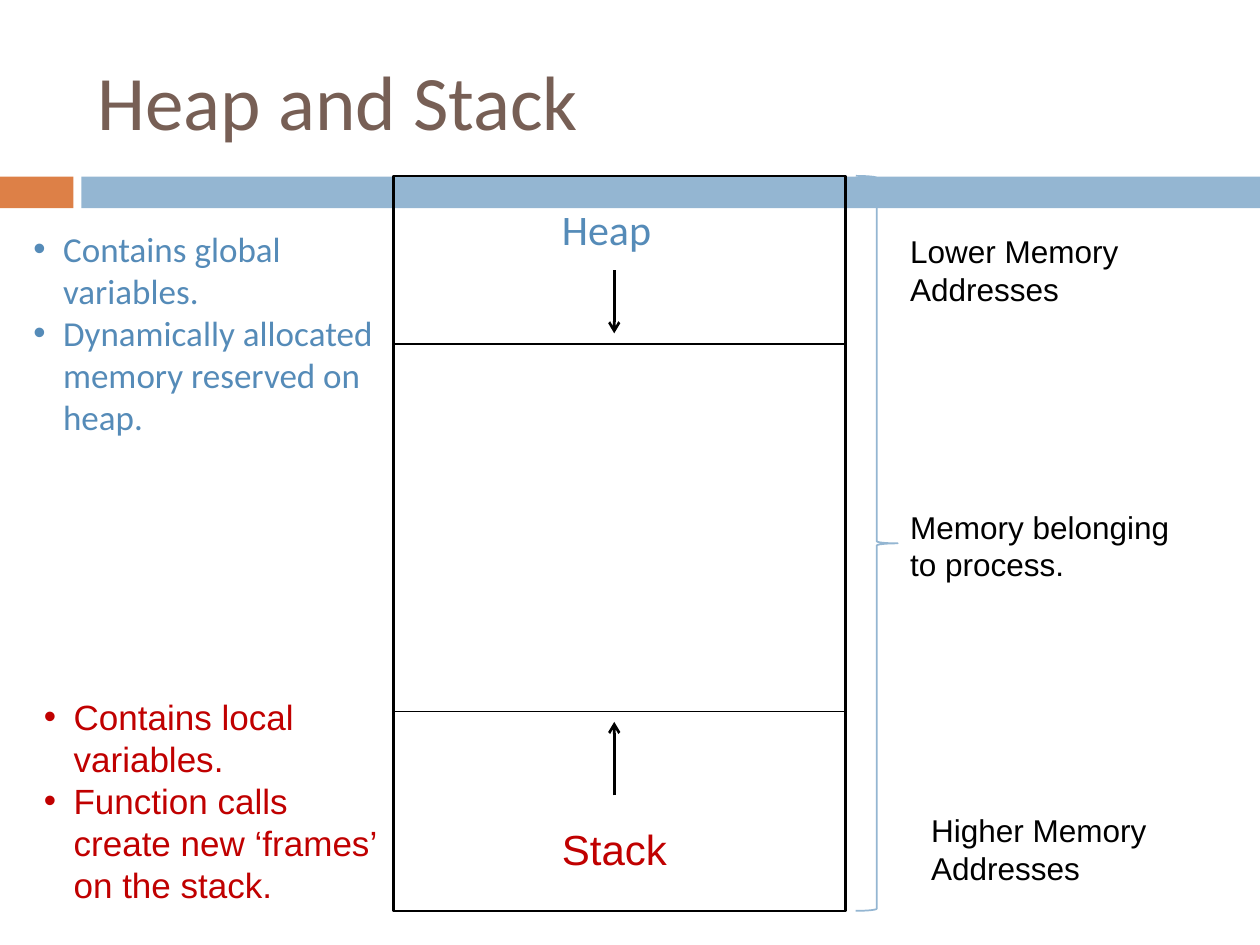
from lxml import etree
from pptx import Presentation
from pptx.dml.color import RGBColor
from pptx.enum.shapes import MSO_CONNECTOR, MSO_SHAPE
from pptx.enum.text import MSO_ANCHOR, MSO_AUTO_SIZE
from pptx.oxml.ns import qn
from pptx.util import Pt

RECT, BRACE = MSO_SHAPE.RECTANGLE, MSO_SHAPE.RIGHT_BRACE
STRAIGHT = MSO_CONNECTOR.STRAIGHT
MIDDLE = MSO_ANCHOR.MIDDLE
GROW, FIXED = MSO_AUTO_SIZE.SHAPE_TO_FIT_TEXT, MSO_AUTO_SIZE.NONE
COLORS = {"title": "775F55", "accent": "DD8047", "band": "94B6D2",
          "heap": "558BB8", "stack": "C00000", "ink": "000000"}


def rgb(name):
    """Return the named colour."""
    return RGBColor.from_string(COLORS[name])


def add_shape(s, kind, x, y, w, h, fill=None, line=None, weight=1):
    """Add a shape with an optional fill and outline."""
    sp = s.shapes.add_shape(kind, Pt(x), Pt(y), Pt(w), Pt(h))
    sp.shadow.inherit = False
    if fill:
        sp.fill.solid()
        sp.fill.fore_color.rgb = rgb(fill)
    else:
        sp.fill.background()
    if line:
        sp.line.color.rgb = rgb(line)
        sp.line.width = Pt(weight)
    else:
        sp.line.fill.background()
    return sp


def add_line(s, x1, y1, x2, y2, weight, arrow=False):
    """Add a straight line, with an arrowhead at its end if asked."""
    cx = s.shapes.add_connector(STRAIGHT, Pt(x1), Pt(y1), Pt(x2), Pt(y2))
    cx.line.color.rgb = rgb("ink")
    cx.line.width = Pt(weight)
    if arrow:
        ln = cx._element.spPr.find(qn("a:ln"))
        etree.SubElement(ln, qn("a:tailEnd"), type="arrow")
    etree.SubElement(cx._element.spPr, qn("a:effectLst"))


def add_text(s, x, y, w, h, lines, size, font, color, wrap=True, bullet=False):
    """Add a text box with one paragraph for each line."""
    tf = s.shapes.add_textbox(Pt(x), Pt(y), Pt(w), Pt(h)).text_frame
    tf.word_wrap = wrap
    tf.auto_size = GROW
    tf.text = "\n".join(lines)
    for p in tf.paragraphs:
        p.font.size = Pt(size)
        p.font.name = font
        p.font.color.rgb = rgb(color)
        if bullet:
            add_bullet(p)
    return tf


def add_bullet(p):
    """Give a paragraph a round bullet and a hanging indent."""
    pPr = p._p.get_or_add_pPr()
    pPr.set("marL", str(Pt(17)))
    pPr.set("indent", str(-Pt(17)))
    pPr.insert(0, etree.Element(qn("a:buFont"), typeface="Arial"))
    pPr.insert(1, etree.Element(qn("a:buChar"), char="•"))


def add_header(s, x, y, w):
    """Add the title and the two-part band below it."""
    add_shape(s, RECT, x, y + 101, 42, 18, "accent")
    add_shape(s, RECT, x + 46.5, y + 101, w - 46.5, 18, "band")
    tf = add_text(s, x + 48.5, y + 18, 642, 78, ["Heap and Stack"], 44, "Calibri", "title")
    tf.auto_size = FIXED
    tf.vertical_anchor = MIDDLE


def add_memory(s, x, y, w, h):
    """Add the memory block with its heap and stack areas."""
    add_shape(s, RECT, x, y, w, h, line="ink", weight=1.5)
    for dy in (96, 306):
        add_line(s, x, y + dy, x + w, y + dy, 0.79)
    mid = x + 126
    for start, end in ((54, 90), (354, 312)):
        add_line(s, mid, y + start, mid, y + end, 1.5, arrow=True)
    for name, font, color, dy in (("Heap", "Calibri", "heap", 12),
                                  ("Stack", "Arial", "stack", 366.5)):
        add_text(s, x + 89, y + dy, 84, 36, [name], 24, font, color, wrap=False)


def add_notes(s, x, y):
    """Add the bulleted notes on the heap and the stack."""
    add_text(s, x, y, 222, 127.5,
             ["Contains global variables.",
              "Dynamically allocated memory reserved on heap."],
             20, "Calibri", "heap", bullet=True)
    add_text(s, x + 6, y + 267.5, 210, 127.5,
             ["Contains local variables.",
              "Function calls create new ‘frames’ on the stack."],
             20, "Arial", "stack", bullet=True)


def add_addresses(s, x, y, h):
    """Add the brace and the address labels beside it."""
    sp = add_shape(s, BRACE, x, y, 24, h, line="band")
    sp.adjustments[0] = 0.05
    for text, dx, dy, w in (("Lower Memory Addresses", 24, 28.5, 156),
                            ("Memory belonging to process.", 24, 186, 180),
                            ("Higher Memory Addresses", 36, 359.5, 156)):
        add_text(s, x + dx, y + dy, w, 50.5, [text], 18, "Arial", "ink")


def main():
    """Build the slide and save it."""
    prs = Presentation()
    prs.slide_width, prs.slide_height = Pt(720), Pt(540)
    s = prs.slides.add_slide(prs.slide_layouts[6])
    add_header(s, 0, 0, 720)
    add_memory(s, 225, 100.5, 258, 420)
    add_notes(s, 12, 126.5)
    add_addresses(s, 489, 100.5, 420)
    prs.save("out.pptx")


if __name__ == "__main__":
    main()
